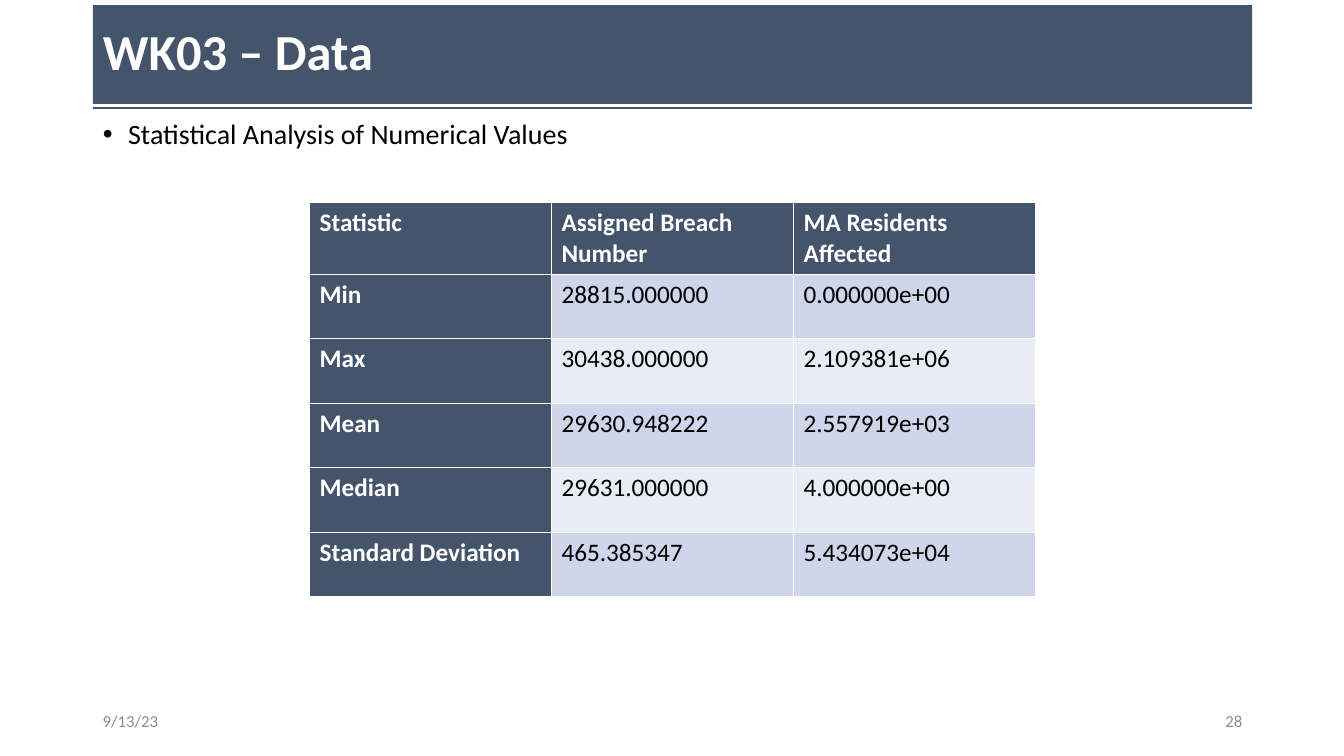
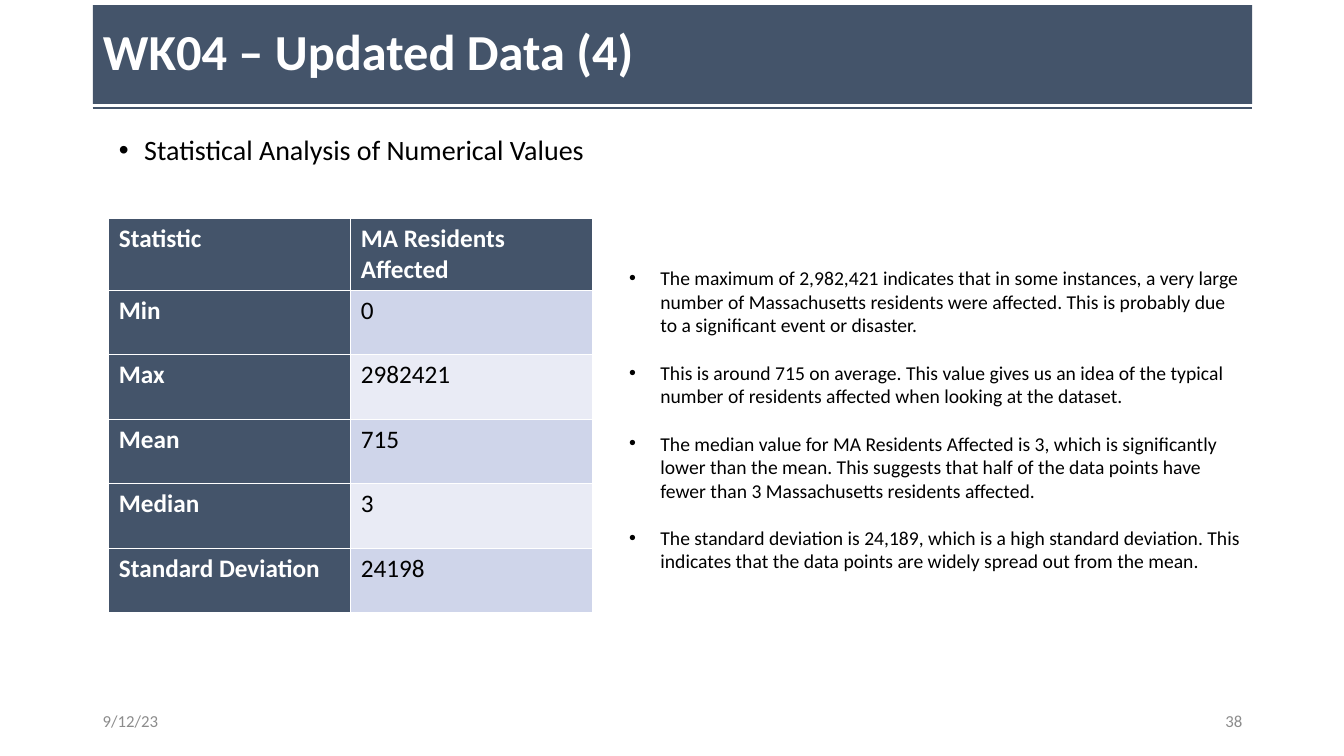
from dataclasses import dataclass

from lxml.etree import SubElement
from pptx import Presentation
from pptx.dml.color import RGBColor
from pptx.enum.shapes import MSO_CONNECTOR
from pptx.enum.text import MSO_ANCHOR, MSO_AUTO_SIZE, PP_ALIGN
from pptx.oxml.ns import qn
from pptx.slide import Slide
from pptx.util import Inches, Pt


@dataclass(frozen=True)
class Theme:
    font: str = "Calibri"
    navy: str = "44546A"
    white: str = "FFFFFF"
    black: str = "000000"
    grey: str = "8C8C8C"
    bands: tuple[str, str] = ("CFD5EA", "E9EBF5")
    title_size: int = 36
    topic_size: int = 20
    table_size: int = 18
    finding_size: int = 14
    footer_size: int = 12
    left: float = 0.92
    width: float = 11.5


@dataclass(frozen=True)
class BulletList:
    lines: tuple[str, ...]
    box: tuple[float, float, float, float]
    size: int
    indent: float
    line_spacing: float
    space_after: int


@dataclass(frozen=True)
class StatTable:
    left: float
    top: float
    rows: tuple[tuple[str, ...], ...]
    column_width: float = 2.4
    row_height: float = 0.64


@dataclass(frozen=True)
class Page:
    title: str
    layout: int
    lists: tuple[BulletList, ...]
    table: StatTable
    date: str
    number: str


THEME = Theme()
TITLE_AND_CONTENT, TWO_CONTENT = 1, 3


def topic_list(left: float, top: float) -> BulletList:
    return BulletList(
        ("Statistical Analysis of Numerical Values",),
        (left, top, THEME.width, 5.62), THEME.topic_size, 0.25, 0.9, 6,
    )


FINDINGS = BulletList(
    (
        "The maximum of 2,982,421 indicates that in some instances, a very large number of "
        "Massachusetts residents were affected. This is probably due to a significant event "
        "or disaster.",
        "This is around 715 on average. This value gives us an idea of the typical number of "
        "residents affected when looking at the dataset.",
        "The median value for MA Residents Affected is 3, which is significantly lower than "
        "the mean. This suggests that half of the data points have fewer than 3 Massachusetts "
        "residents affected.",
        "The standard deviation is 24,189, which is a high standard deviation. This indicates "
        "that the data points are widely spread out from the mean.",
    ),
    (6.14, 2.59, 6.28, 3.47), THEME.finding_size, 0.31, 1.0, 17,
)

PAGES = (
    Page(
        "WK03 – Data", TITLE_AND_CONTENT, (topic_list(THEME.left, 1.14),),
        StatTable(3.07, 2.01, (
            ("Statistic", "Assigned Breach Number", "MA Residents Affected"),
            ("Min", "28815.000000", "0.000000e+00"),
            ("Max", "30438.000000", "2.109381e+06"),
            ("Mean", "29630.948222", "2.557919e+03"),
            ("Median", "29631.000000", "4.000000e+00"),
            ("Standard Deviation", "465.385347", "5.434073e+04"),
        )),
        "9/13/23", "28",
    ),
    Page(
        "WK04 – Updated Data (4)", TWO_CONTENT, (topic_list(1.08, 1.3), FINDINGS),
        StatTable(1.08, 2.17, (
            ("Statistic", "MA Residents Affected"),
            ("Min", "0"),
            ("Max", "2982421"),
            ("Mean", "715"),
            ("Median", "3"),
            ("Standard Deviation", "24198"),
        )),
        "9/12/23", "38",
    ),
)


def color(value: str) -> RGBColor:
    return RGBColor.from_string(value)


def format_text(frame, size: int, text_color: str, bold: bool = False) -> None:
    for paragraph in frame.paragraphs:
        for run in paragraph.runs:
            run.font.name = THEME.font
            run.font.size = Pt(size)
            run.font.bold = bold
            run.font.color.rgb = color(text_color)


def place(shape, left: float, top: float, width: float, height: float) -> None:
    shape.left, shape.top = Inches(left), Inches(top)
    shape.width, shape.height = Inches(width), Inches(height)


def draw_title(slide: Slide, text: str) -> None:
    title = slide.shapes.title
    place(title, THEME.left, 0.05, THEME.width, 0.98)
    title.fill.solid()
    title.fill.fore_color.rgb = color(THEME.navy)
    frame = title.text_frame
    frame.text = text
    frame.auto_size = MSO_AUTO_SIZE.NONE
    frame.vertical_anchor = MSO_ANCHOR.MIDDLE
    frame.paragraphs[0].alignment = PP_ALIGN.LEFT
    frame.paragraphs[0].line_spacing = 0.9
    format_text(frame, THEME.title_size, THEME.white, bold=True)

    rule = slide.shapes.add_connector(
        MSO_CONNECTOR.STRAIGHT, Inches(THEME.left), Inches(1.07),
        Inches(THEME.left + THEME.width), Inches(1.07),
    )
    rule.line.color.rgb = color(THEME.navy)
    rule.line.width = Pt(1.5)
    SubElement(rule._element.spPr, qn("a:effectLst"))


def draw_list(placeholder, bullets: BulletList) -> None:
    place(placeholder, *bullets.box)
    frame = placeholder.text_frame
    frame.text = "\n".join(bullets.lines)
    frame.auto_size = MSO_AUTO_SIZE.NONE
    for paragraph in frame.paragraphs:
        paragraph.line_spacing = bullets.line_spacing
        paragraph.space_before = Pt(0)
        paragraph.space_after = Pt(bullets.space_after)
        properties = paragraph._p.get_or_add_pPr()
        properties.set("marL", str(Inches(bullets.indent)))
        properties.set("indent", str(-Inches(bullets.indent)))
    format_text(frame, bullets.size, THEME.black)


def add_borders(cell) -> None:
    properties = cell._tc.get_or_add_tcPr()
    for side in ("lnL", "lnR", "lnT", "lnB"):
        border = SubElement(properties, qn(f"a:{side}"), w=str(Pt(1)))
        fill = SubElement(border, qn("a:solidFill"))
        SubElement(fill, qn("a:srgbClr"), val=THEME.white)


def draw_table(slide: Slide, stats: StatTable) -> None:
    row_count, column_count = len(stats.rows), len(stats.rows[0])
    table = slide.shapes.add_table(
        row_count, column_count, Inches(stats.left), Inches(stats.top),
        Inches(stats.column_width * column_count), Inches(stats.row_height * row_count),
    ).table
    for column in table.columns:
        column.width = Inches(stats.column_width)
    for row in table.rows:
        row.height = Inches(stats.row_height)
    for row_index, values in enumerate(stats.rows):
        for column_index, value in enumerate(values):
            heading = row_index == 0 or column_index == 0
            cell = table.cell(row_index, column_index)
            add_borders(cell)
            cell.fill.solid()
            band = THEME.bands[(row_index - 1) % 2]
            cell.fill.fore_color.rgb = color(THEME.navy if heading else band)
            cell.text_frame.text = value
            text_color = THEME.white if heading else THEME.black
            format_text(cell.text_frame, THEME.table_size, text_color, heading)


def draw_footer(slide: Slide, text: str, left: float, alignment: PP_ALIGN) -> None:
    footer = slide.shapes.add_textbox(Inches(left), Inches(6.95), Inches(3), Inches(0.4))
    frame = footer.text_frame
    frame.word_wrap = True
    frame.vertical_anchor = MSO_ANCHOR.MIDDLE
    frame.text = text
    frame.paragraphs[0].alignment = alignment
    format_text(frame, THEME.footer_size, THEME.grey)


def main() -> None:
    deck = Presentation()
    deck.slide_width, deck.slide_height = Inches(13.33), Inches(7.5)
    for page in PAGES:
        slide = deck.slides.add_slide(deck.slide_layouts[page.layout])
        draw_title(slide, page.title)
        for index, bullets in enumerate(page.lists, start=1):
            draw_list(slide.placeholders[index], bullets)
        draw_table(slide, page.table)
        draw_footer(slide, page.date, THEME.left, PP_ALIGN.LEFT)
        draw_footer(slide, page.number, THEME.left + THEME.width - 3, PP_ALIGN.RIGHT)
    deck.save("out.pptx")


if __name__ == "__main__":
    main()
